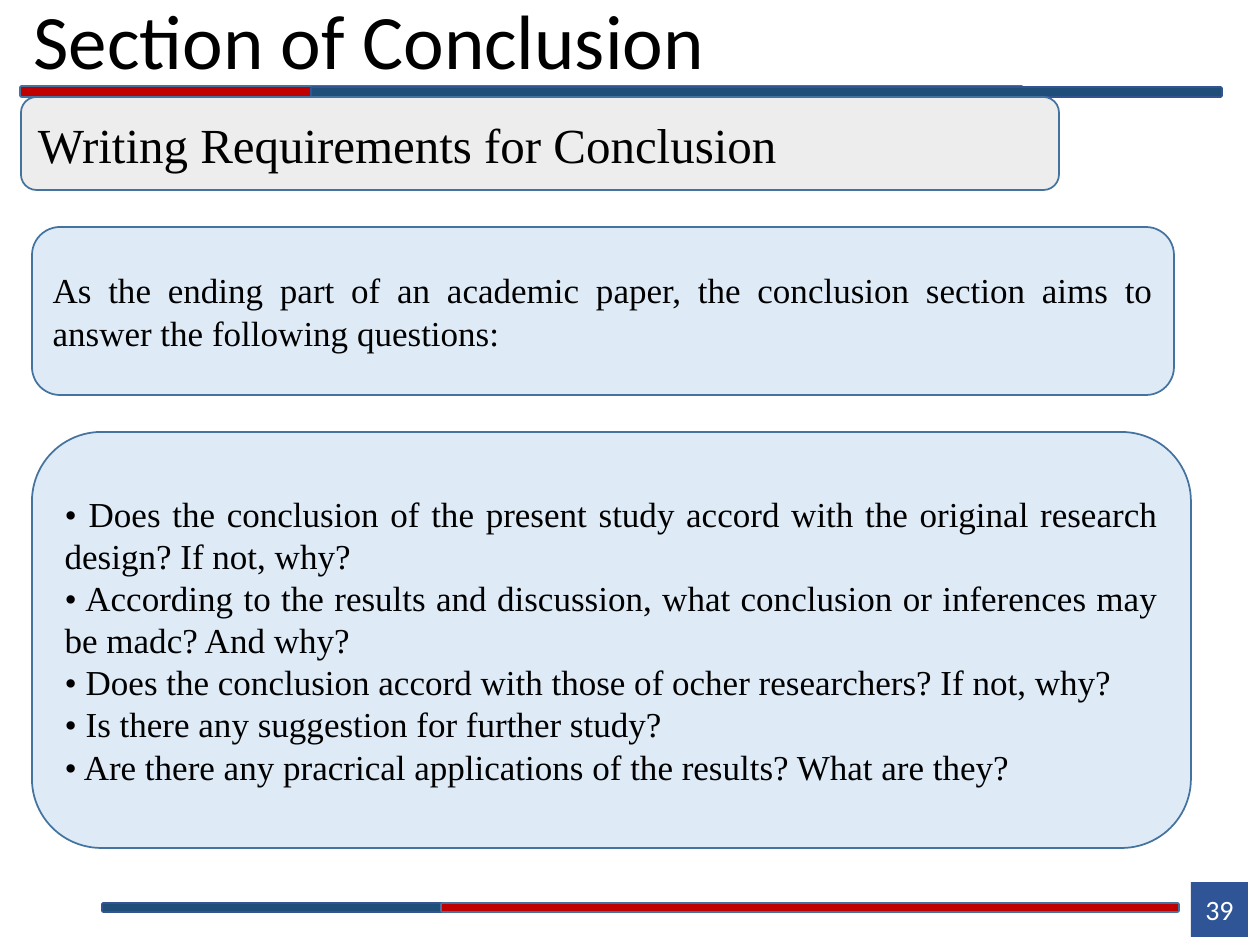
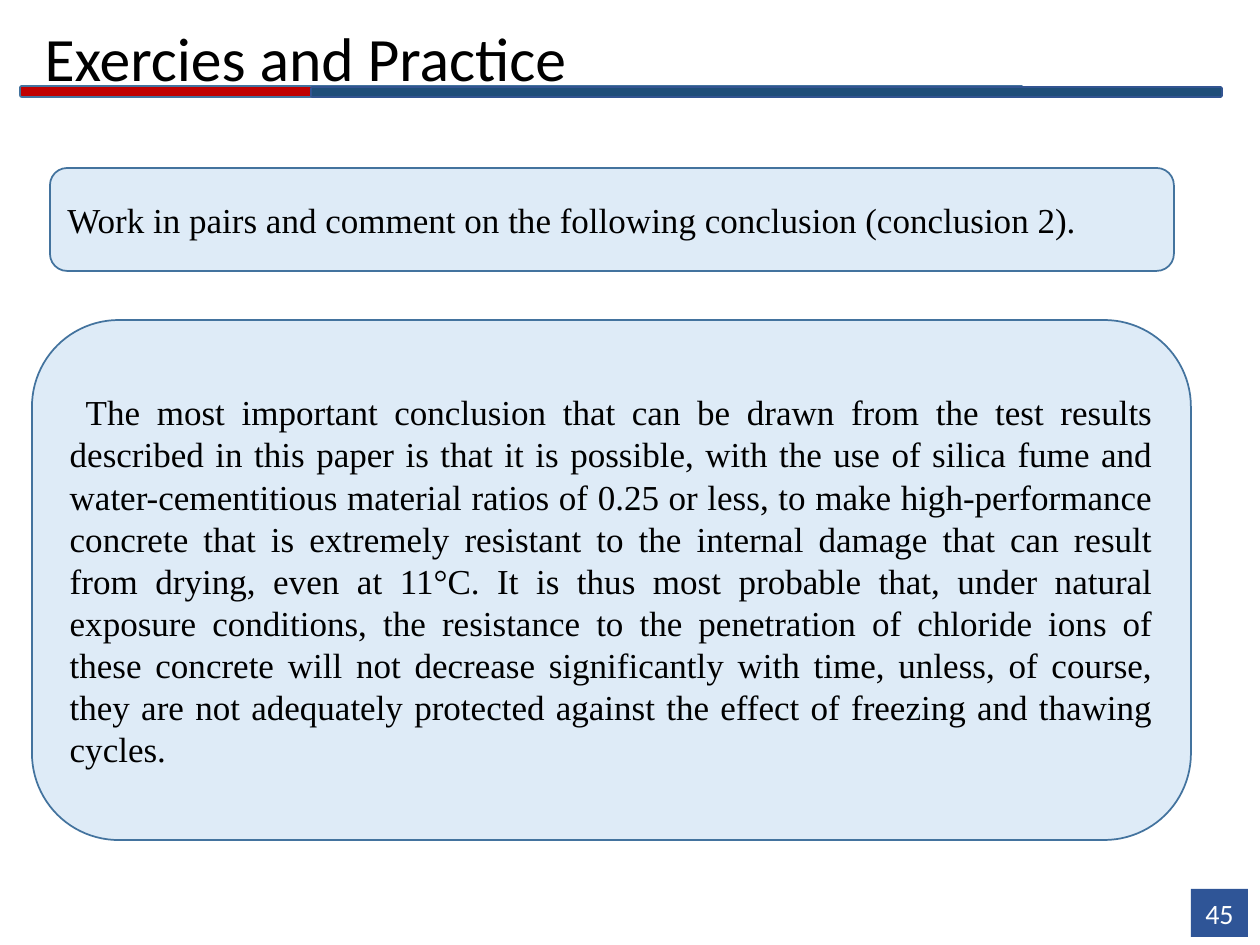
from dataclasses import dataclass

from pptx import Presentation
from pptx.dml.color import RGBColor
from pptx.enum.shapes import MSO_SHAPE
from pptx.enum.text import MSO_ANCHOR, MSO_AUTO_SIZE, PP_ALIGN
from pptx.util import Inches, Pt

PX_PER_INCH = 126


def px(n):
    return round(Inches(1) * n / PX_PER_INCH)


@dataclass(frozen=True)
class Theme:
    black: str = "000000"
    white: str = "FFFFFF"
    red: str = "C00000"
    navy: str = "1F4E79"
    badge: str = "2F5597"
    grey: str = "EDEDED"
    pale_blue: str = "DEEBF7"
    outline: str = "43739E"
    navy_outline: str = "325491"
    sans: str = "Calibri"
    serif: str = "Times New Roman"
    title_size: float = 44
    small_title_size: float = 35.2
    heading_size: float = 28
    body_size: float = 20
    badge_size: float = 16


class Deck:
    def __init__(self, theme):
        self.theme = theme
        self.prs = Presentation()
        self.prs.slide_width = px(10 * PX_PER_INCH)
        self.prs.slide_height = px(945)
        self.s = None

    def add_text(self, tf, paragraphs, font, size, color, align, first_indent=0):
        tf.word_wrap = True
        tf.auto_size = MSO_AUTO_SIZE.NONE
        tf.vertical_anchor = MSO_ANCHOR.MIDDLE
        for i, text in enumerate(paragraphs):
            p = tf.add_paragraph() if i else tf.paragraphs[0]
            p.alignment = align
            if first_indent:
                p._p.get_or_add_pPr().set("indent", str(px(first_indent)))
            r = p.add_run()
            r.text = text
            r.font.name = font
            r.font.size = Pt(size)
            r.font.color.rgb = RGBColor.from_string(color)

    def shape(self, kind, box, fill, line=None, parent=None):
        sp = (parent or self.s).shapes.add_shape(kind, *map(px, box))
        sp.shadow.inherit = False
        sp.fill.solid()
        sp.fill.fore_color.rgb = RGBColor.from_string(fill)
        if line:
            sp.line.color.rgb = RGBColor.from_string(line)
            sp.line.width = Pt(1)
        else:
            sp.line.fill.background()
        return sp

    def rule(self, red_box, navy_box, red_on_top=False):
        """Draw two overlapping bars as one group."""
        t = self.theme
        bars = [(red_box, t.red, t.outline), (navy_box, t.navy, t.navy_outline)]
        group = self.s.shapes.add_group_shape()
        for box, fill, line in reversed(bars) if red_on_top else bars:
            self.shape(MSO_SHAPE.ROUNDED_RECTANGLE, box, fill, line, group)

    def new_slide(self, title, title_box, title_size, number, badge_top, badge_height):
        """Add a slide with its title, header rule and page badge."""
        t = self.theme
        self.s = self.prs.slides.add_slide(self.prs.slide_layouts[5])
        sp = self.s.shapes.title
        sp.left, sp.top, sp.width, sp.height = map(px, title_box)
        self.add_text(sp.text_frame, [title], t.sans, title_size, t.black, PP_ALIGN.LEFT)
        sp.text_frame.paragraphs[0].line_spacing = 0.9
        self.rule((20, 86, 1003, 11), (311, 87, 911, 10))
        badge = self.shape(MSO_SHAPE.RECTANGLE, (1191, badge_top, 57, badge_height), t.badge)
        self.add_text(badge.text_frame, [number], t.sans, t.badge_size, t.white,
                      PP_ALIGN.CENTER)

    def footer_rule(self):
        self.rule((441, 903, 738, 9), (102, 903, 788, 9), red_on_top=True)

    def panel(self, box, paragraphs, fill, size, align, first_indent=0):
        t = self.theme
        sp = self.shape(MSO_SHAPE.ROUNDED_RECTANGLE, box, fill, t.outline)
        self.add_text(sp.text_frame, paragraphs, t.serif, size, t.black, align, first_indent)

    def heading(self, box, text):
        self.panel(box, [text], self.theme.grey, self.theme.heading_size, PP_ALIGN.LEFT)

    def body(self, box, *paragraphs, first_indent=0):
        self.panel(box, paragraphs, self.theme.pale_blue, self.theme.body_size,
                   PP_ALIGN.JUSTIFY, first_indent)


def conclusion_slide(deck):
    deck.new_slide("Section of Conclusion", (21, -11, 1153, 112),
                   deck.theme.title_size, "39", 882, 55)
    deck.footer_rule()
    deck.heading((21, 97, 1038, 93), "Writing Requirements for Conclusion")
    deck.body(
        (32, 432, 1159, 416),
        "• Does the conclusion of the present study accord with the original "
        "research design? If not, why?",
        "• According to the results and discussion, what conclusion or inferences "
        "may be madc? And why?",
        "• Does the conclusion accord with those of ocher researchers? If not, why?",
        "• Is there any suggestion for further study?",
        "• Are there any pracrical applications of the results? What are they?",
    )
    deck.body(
        (32, 227, 1142, 168),
        "As the ending part of an academic paper, the conclusion section aims to "
        "answer the following questions:",
    )


def practice_slide(deck):
    deck.new_slide("Exercies and Practice", (32, 16, 1142, 91),
                   deck.theme.small_title_size, "45", 889, 48)
    deck.body(
        (32, 320, 1159, 520),
        "The most important conclusion that can be drawn from the test results "
        "described in this paper is that it is possible, with the use of silica fume "
        "and water-cementitious material ratios of 0.25 or less, to make "
        "high-performance concrete that is extremely resistant to the internal damage "
        "that can result from drying, even at 11°C. It is thus most probable that, "
        "under natural exposure conditions, the resistance to the penetration of "
        "chloride ions of these concrete will not decrease significantly with time, "
        "unless, of course, they are not adequately protected against the effect of "
        "freezing and thawing cycles.",
        first_indent=16,
    )
    deck.body((50, 168, 1124, 103),
              "Work in pairs and comment on the following conclusion (conclusion 2).")


def main():
    deck = Deck(Theme())
    conclusion_slide(deck)
    practice_slide(deck)
    deck.prs.save("out.pptx")


if __name__ == "__main__":
    main()
